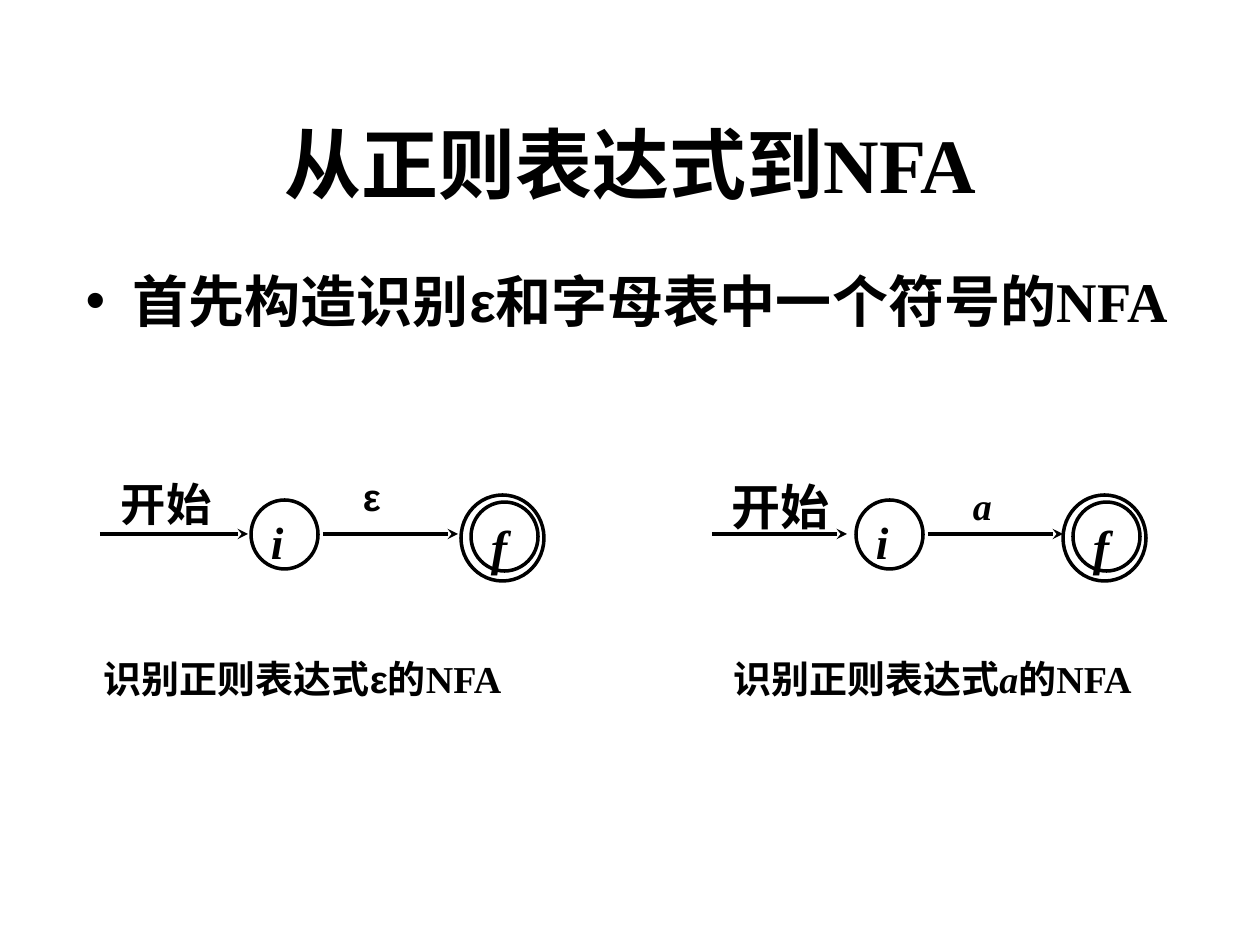
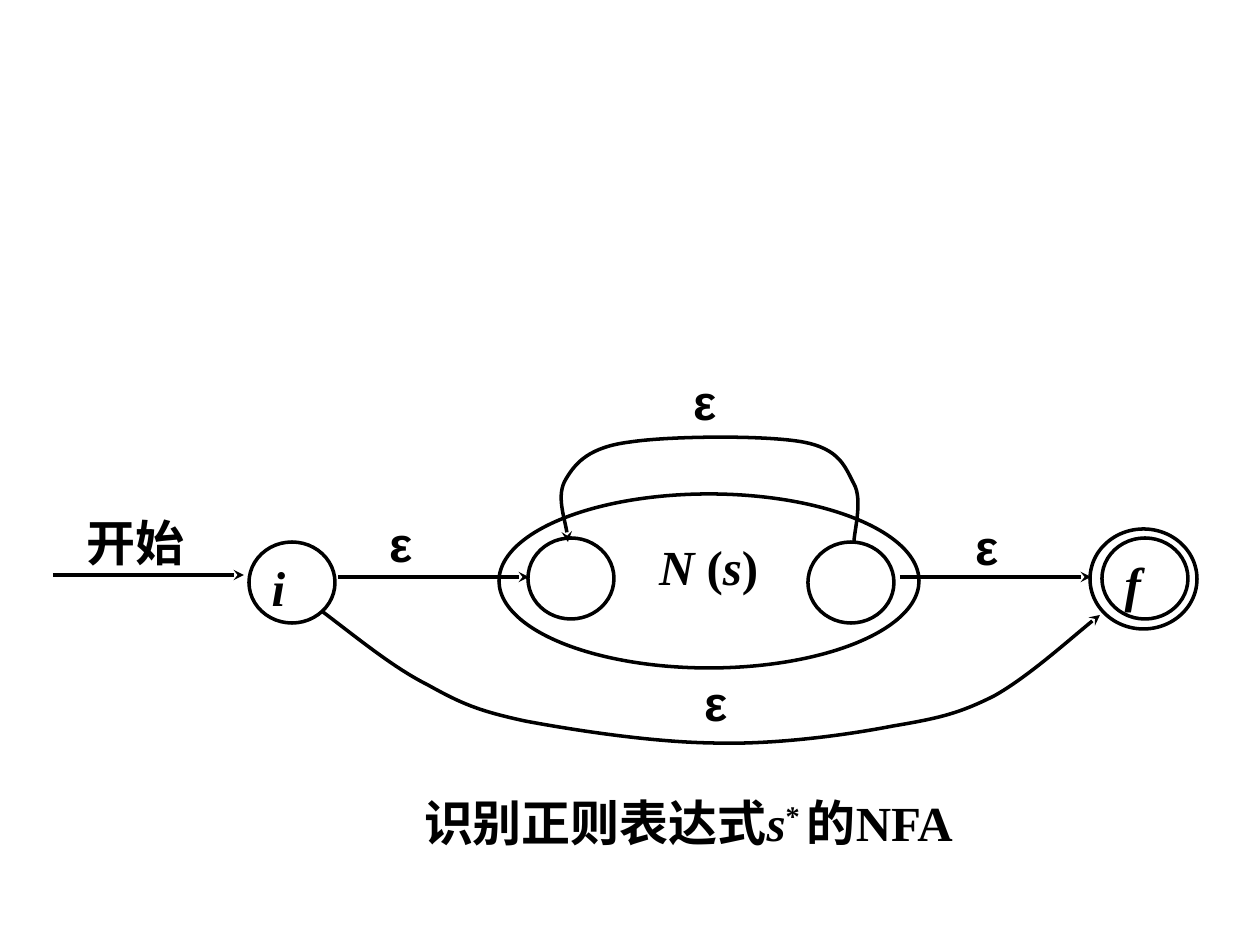
from lxml import etree
from pptx import Presentation
from pptx.dml.color import RGBColor
from pptx.enum.shapes import MSO_CONNECTOR, MSO_SHAPE
from pptx.enum.text import MSO_ANCHOR, MSO_AUTO_SIZE, PP_ALIGN
from pptx.oxml.ns import qn
from pptx.util import Emu, Pt

OVAL = MSO_SHAPE.OVAL
STRAIGHT = MSO_CONNECTOR.STRAIGHT
LEFT, CENTER = PP_ALIGN.LEFT, PP_ALIGN.CENTER
TOP, MIDDLE = MSO_ANCHOR.TOP, MSO_ANCHOR.MIDDLE
FIXED = MSO_AUTO_SIZE.NONE

INK = "000000"
LATIN, GREEK, HAN = "Times New Roman", "Arial", "Noto Sans CJK SC"
EPS = ("ε", "greek")
START = "开始"
LABEL = (8, 4, 8, 4)
WIDE = (11, 4, 13, 6)
INNER = (10, 4, 3, 3)


def px(n):
    return Emu(round(n * 914400 / 126))


def color(code):
    return RGBColor.from_string(code)


def write(frame, *runs, size=28, align=LEFT, anchor=TOP, inset=None, leading=None):
    frame.word_wrap = True
    frame.auto_size = FIXED
    frame.vertical_anchor = anchor
    if inset:
        (frame.margin_left, frame.margin_top,
         frame.margin_right, frame.margin_bottom) = map(px, inset)
    para = frame.paragraphs[0]
    para.alignment = align
    para.space_before = Pt(0)
    if leading:
        para.line_spacing = leading
    for item in runs:
        text, style = (item, "") if isinstance(item, str) else item
        run = para.add_run()
        run.text = text
        font = run.font
        font.size = Pt(size)
        font.bold = True
        font.italic = style == "italic"
        font.color.rgb = color(INK)
        font.name = GREEK if style == "greek" else LATIN
        props = run.font._element
        etree.SubElement(props, qn("a:ea")).set("typeface", HAN)
        if style == "super":
            props.set("baseline", "30000")


class Board:
    def __init__(self):
        self.deck = Presentation()
        self.deck.slide_width, self.deck.slide_height = px(1260), px(945)
        self.slide = None

    def page(self, layout):
        self.slide = self.deck.slides.add_slide(self.deck.slide_layouts[layout])

    def holder(self, index, box, *runs, **style):
        shape = self.slide.placeholders[index]
        shape.left, shape.top, shape.width, shape.height = map(px, box)
        write(shape.text_frame, *runs, **style)

    def label(self, box, *runs, **style):
        shape = self.slide.shapes.add_textbox(*map(px, box))
        write(shape.text_frame, *runs, **{"inset": LABEL, **style})

    def stroke(self, shape, arrow=False):
        shape.line.color.rgb = color(INK)
        shape.line.width = Pt(2)
        if arrow:
            tail = etree.SubElement(shape.line._get_or_add_ln(), qn("a:tailEnd"))
            tail.set("type", "stealth")

    def plain(self, shape, arrow=False):
        shape.shadow.inherit = False
        shape.fill.background()
        self.stroke(shape, arrow)

    def state(self, box, name="", size=28):
        shape = self.slide.shapes.add_shape(OVAL, *map(px, box))
        self.plain(shape)
        if name:
            write(shape.text_frame, (name, "italic"), size=size, inset=INNER)

    def arrow(self, left, right, y):
        line = self.slide.shapes.add_connector(
            STRAIGHT, px(left), px(y), px(right), px(y))
        self.stroke(line, arrow=True)
        etree.SubElement(line.element.spPr, qn("a:effectLst"))

    def curve(self, *points):
        spots = [(px(x), px(y)) for x, y in points]
        pen = self.slide.shapes.build_freeform(*spots[0])
        pen.add_line_segments(spots[1:], close=False)
        shape = pen.convert_to_shape()
        track = shape.element.find(".//" + qn("a:path"))
        legs = track.findall(qn("a:lnTo"))
        for k in range(0, len(legs), 3):
            bend = etree.SubElement(track, qn("a:cubicBezTo"))
            for leg in legs[k:k + 3]:
                bend.append(leg[0])
                track.remove(leg)
        self.plain(shape, arrow=True)


def basics(board):
    board.page(1)
    board.holder(0, (95, 84, 1071, 158), "从正则表达式到NFA",
                 size=44, align=CENTER, anchor=MIDDLE)
    board.holder(1, (73, 260, 1134, 168), "首先构造识别", EPS,
                 "和字母表中一个符号的NFA", size=32)
    rows = (
        (100, 248, 113, 25.9, 251, 461, 355, 53, EPS, 0.8),
        (712, 847, 724, 28, 856, 1063, 965, 683, ("a", "italic"), None),
    )
    for start, stop, word, size, first, last, mark, note, sign, leading in rows:
        board.arrow(start, stop, 534)
        board.label((word, 472, 127, 68), START, size=size)
        board.state((first, 500, 67, 69), "i", size=25.9)
        board.arrow(first + 72, first + 207, 534)
        board.label((mark, 478, 54, 55), sign, size=21.7, leading=leading)
        board.state((last, 495, 83, 86))
        board.state((last + 10, 502, 67, 69), "f")
        board.label((note, 651, 499, 58), "识别正则表达式", sign, "的NFA",
                    size=21.7, align=CENTER)


def closure(board):
    board.page(6)
    board.state((499, 494, 420, 174))
    for x, y, name in ((528, 538, ""), (808, 542, ""), (249, 542, "i")):
        board.state((x, y, 86, 81), name)
    board.state((1090, 529, 107, 100))
    board.state((1102, 538, 86, 81), "f")
    board.label((648, 532, 146, 97), ("N ", "italic"), "(", ("s", "italic"), ")",
                inset=WIDE)
    board.label((79, 509, 140, 77), START)
    for left, y in ((53, 575), (338, 577), (900, 577)):
        board.arrow(left, left + 191, y)
    board.curve(
        (323, 612), (360, 640), (394, 668), (428, 685), (462, 704),
        (479, 711), (525, 721), (573, 730), (650, 742), (712, 743),
        (774, 745), (847, 735), (893, 726), (941, 718), (960, 713),
        (994, 696), (1028, 677), (1079, 631), (1100, 615))
    board.curve(
        (854, 542), (854, 532), (863, 500), (854, 484), (845, 467),
        (840, 449), (803, 442), (765, 435), (669, 436), (630, 442),
        (590, 447), (576, 462), (566, 479), (556, 495), (568, 528),
        (568, 542))
    for x, y in ((378, 510), (693, 669), (964, 513), (682, 368)):
        board.label((x, y, 82, 74), EPS, inset=WIDE)
    board.label((368, 788, 641, 68), "识别正则表达式", ("s", "italic"),
                ("* ", "super"), "的NFA", align=CENTER)


def main():
    board = Board()
    basics(board)
    closure(board)
    board.deck.save("out.pptx")


if __name__ == "__main__":
    main()
